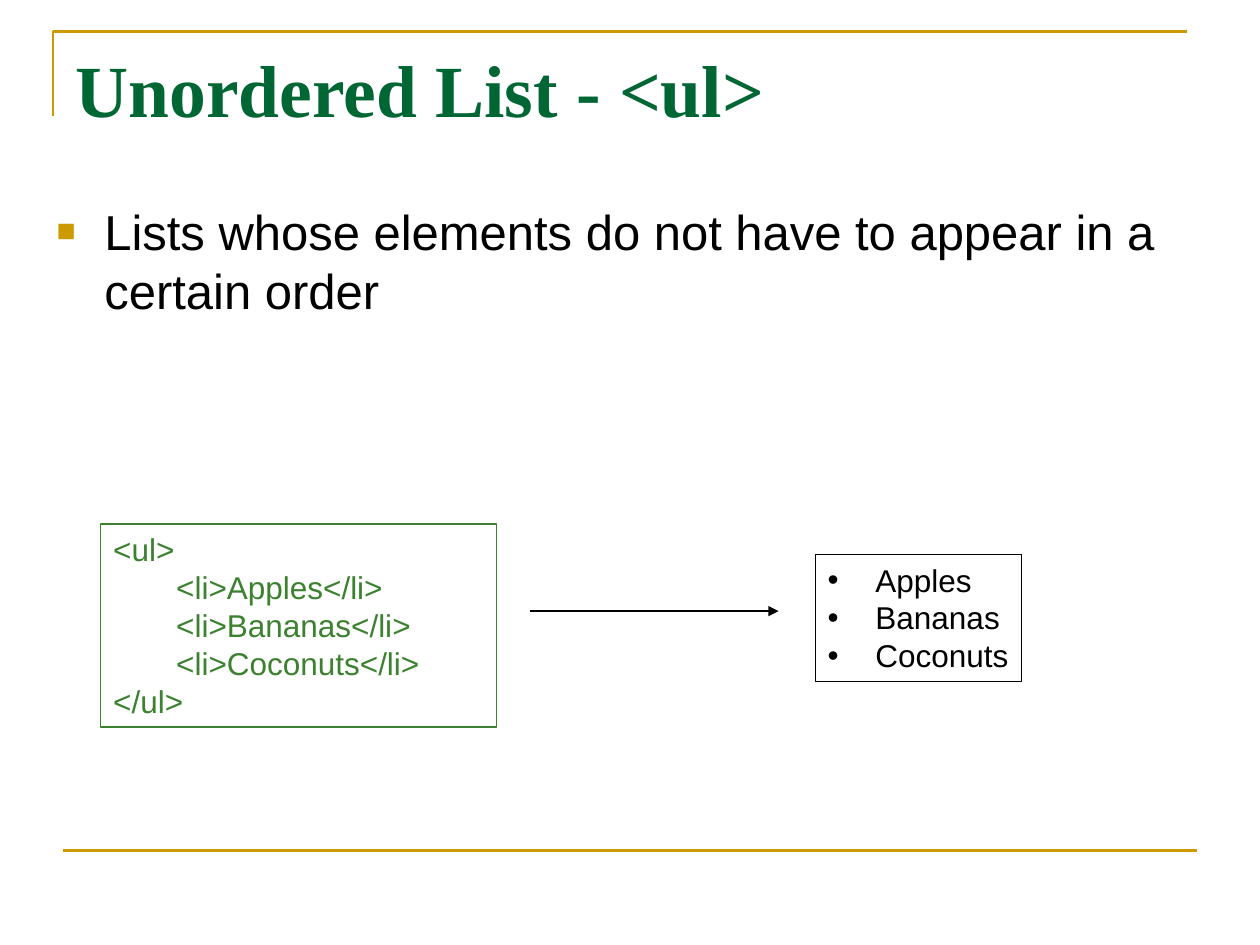
import pptx
import pptx.dml.color
import pptx.enum.shapes
import pptx.enum.text
import pptx.oxml.ns
import pptx.util
from dataclasses import dataclass
from lxml import etree

PX = pptx.util.Inches(1) // 100  # 100 px to the inch


@dataclass(frozen=True)
class Theme:
    gold: str = "CC9900"
    title_green: str = "006633"
    code_green: str = "3B812F"
    black: str = "000000"
    title_font: str = "Times New Roman"
    body_font: str = "Arial"
    title_size: int = 42
    body_size: int = 28
    example_size: int = 18
    rule_width: float = 1.5
    thin_width: float = 0.75


THEME = Theme()


def rgb(color):
    return pptx.dml.color.RGBColor.from_string(color)


def add_xml(parent, tag, **attributes):
    return etree.SubElement(parent, pptx.oxml.ns.qn(tag), attributes)


def style_line(shape, color, width):
    shape.line.color.rgb = rgb(color)
    shape.line.width = pptx.util.Pt(width)


def style_font(paragraph, name, size, color, bold=False):
    font = paragraph.font
    font.name, font.size, font.bold = name, pptx.util.Pt(size), bold
    font.color.rgb = rgb(color)


def add_bullet(paragraph, character, indent, color=None, percent=None):
    properties = paragraph._p.get_or_add_pPr()
    properties.set("marL", str(indent * PX))
    properties.set("indent", str(-indent * PX))
    if color:
        add_xml(add_xml(properties, "a:buClr"), "a:srgbClr", val=color)
    if percent:
        add_xml(properties, "a:buSzPct", val=str(percent * 1000))
    add_xml(properties, "a:buFont", typeface=THEME.body_font)
    add_xml(properties, "a:buChar", char=character)


def add_rule(slide, start, end, color, width):
    rule = slide.shapes.add_connector(
        pptx.enum.shapes.MSO_CONNECTOR.STRAIGHT,
        *(length * PX for length in (*start, *end)))
    style_line(rule, color, width)
    add_xml(rule._element.spPr, "a:effectLst")
    return rule


def add_frame(slide, left, top, width, height):
    # Corner bracket above the title
    builder = slide.shapes.build_freeform(left, top + 67, scale=PX)
    builder.add_line_segments([(left, top), (left + width, top)], close=False)
    bracket = builder.convert_to_shape()
    bracket.fill.background()
    bracket.shadow.inherit = False
    style_line(bracket, THEME.gold, THEME.rule_width)
    # Footer rule, set slightly to the right
    bottom = top + height
    add_rule(slide, (left + 8, bottom), (left + 8 + width, bottom),
             THEME.gold, THEME.rule_width)


def place_title(slide, text, left, top, width, height):
    title = slide.shapes.title
    title.left, title.top = left * PX, top * PX
    title.width, title.height = width * PX, height * PX
    frame = title.text_frame
    frame.text = text
    frame.vertical_anchor = pptx.enum.text.MSO_ANCHOR.TOP
    frame.auto_size = pptx.enum.text.MSO_AUTO_SIZE.NONE
    paragraph = frame.paragraphs[0]
    paragraph.alignment = pptx.enum.text.PP_ALIGN.LEFT
    style_font(paragraph, THEME.title_font, THEME.title_size,
               THEME.title_green, bold=True)


def add_statement(slide, text, left, top, width, height):
    statement = slide.shapes.add_textbox(
        left * PX, top * PX, width * PX, height * PX)
    frame = statement.text_frame
    frame.word_wrap = True
    frame.text = text
    paragraph = frame.paragraphs[0]
    add_bullet(paragraph, "■", 38, THEME.gold, 65)
    style_font(paragraph, THEME.body_font, THEME.body_size, THEME.black)


def add_example(slide, lines, color, left, top, width, height, bullet=None):
    example = slide.shapes.add_shape(
        pptx.enum.shapes.MSO_SHAPE.RECTANGLE,
        left * PX, top * PX, width * PX, height * PX)
    example.fill.background()
    example.shadow.inherit = False
    style_line(example, color, THEME.thin_width)
    frame = example.text_frame
    frame.word_wrap = False
    frame.auto_size = pptx.enum.text.MSO_AUTO_SIZE.SHAPE_TO_FIT_TEXT
    frame.vertical_anchor = pptx.enum.text.MSO_ANCHOR.TOP
    frame.text = "\n".join(lines)
    for paragraph in frame.paragraphs:
        paragraph.alignment = pptx.enum.text.PP_ALIGN.LEFT
        if bullet:
            add_bullet(paragraph, bullet, 38)
        style_font(paragraph, THEME.body_font, THEME.example_size, color)


def add_demo(slide, fruits, left, top):
    # Markup, the arrow, and the list it produces
    markup = ["<ul>", *(f"\t<li>{fruit}</li>" for fruit in fruits), "</ul>"]
    add_example(slide, markup, THEME.code_green, left, top, 314, 161)
    arrow = add_rule(slide, (left + 341, top + 69), (left + 538, top + 69),
                     THEME.black, THEME.thin_width)
    add_xml(arrow.line._get_or_add_ln(), "a:tailEnd", type="triangle")
    add_example(slide, fruits, THEME.black, left + 567, top + 24, 164, 101,
                bullet="•")


def main():
    deck = pptx.Presentation()
    deck.slide_width, deck.slide_height = 1000 * PX, 750 * PX
    slide = deck.slides.add_slide(deck.slide_layouts[5])
    add_frame(slide, 42, 25, 900, 650)
    place_title(slide, "Unordered List - <ul>", 50, 30, 900, 125)
    add_statement(
        slide,
        "Lists whose elements do not have to appear in a certain order",
        35, 155, 929, 495)
    add_demo(slide, ["Apples", "Bananas", "Coconuts"], 80, 416)
    deck.save("out.pptx")


if __name__ == "__main__":
    main()
